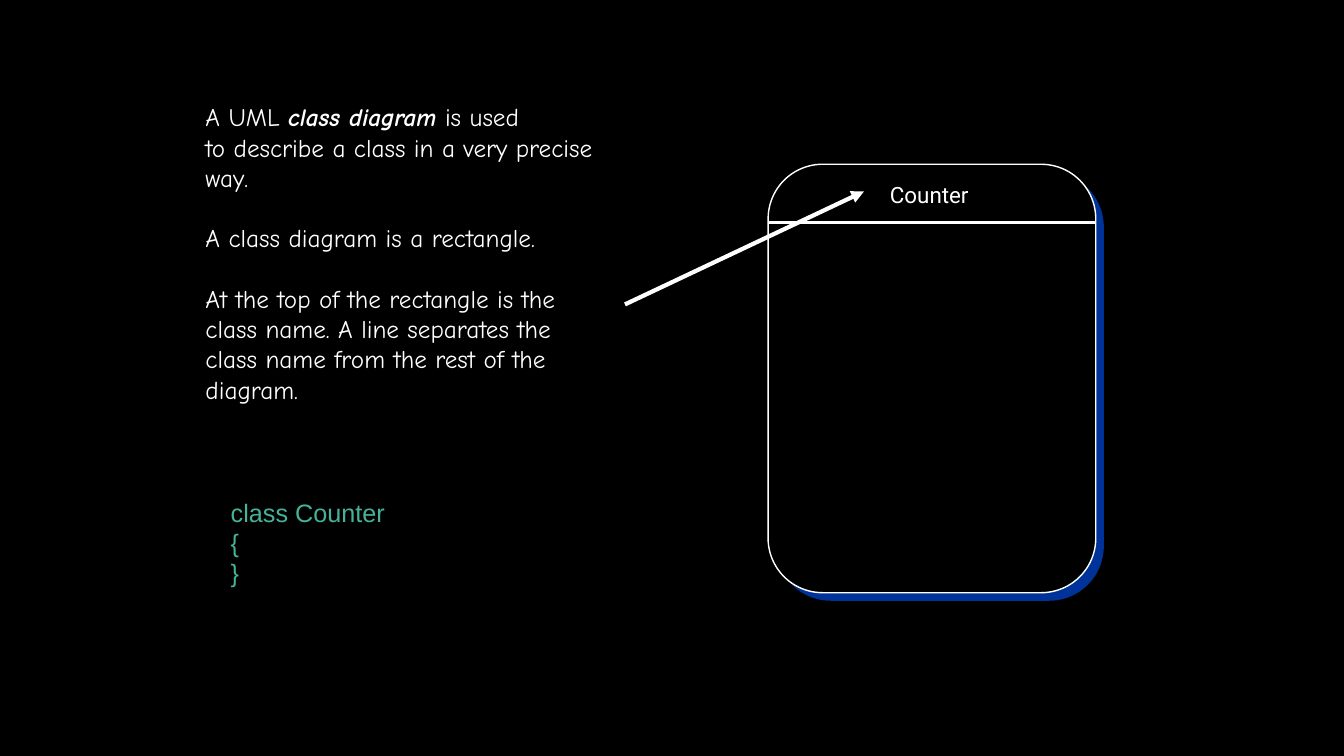
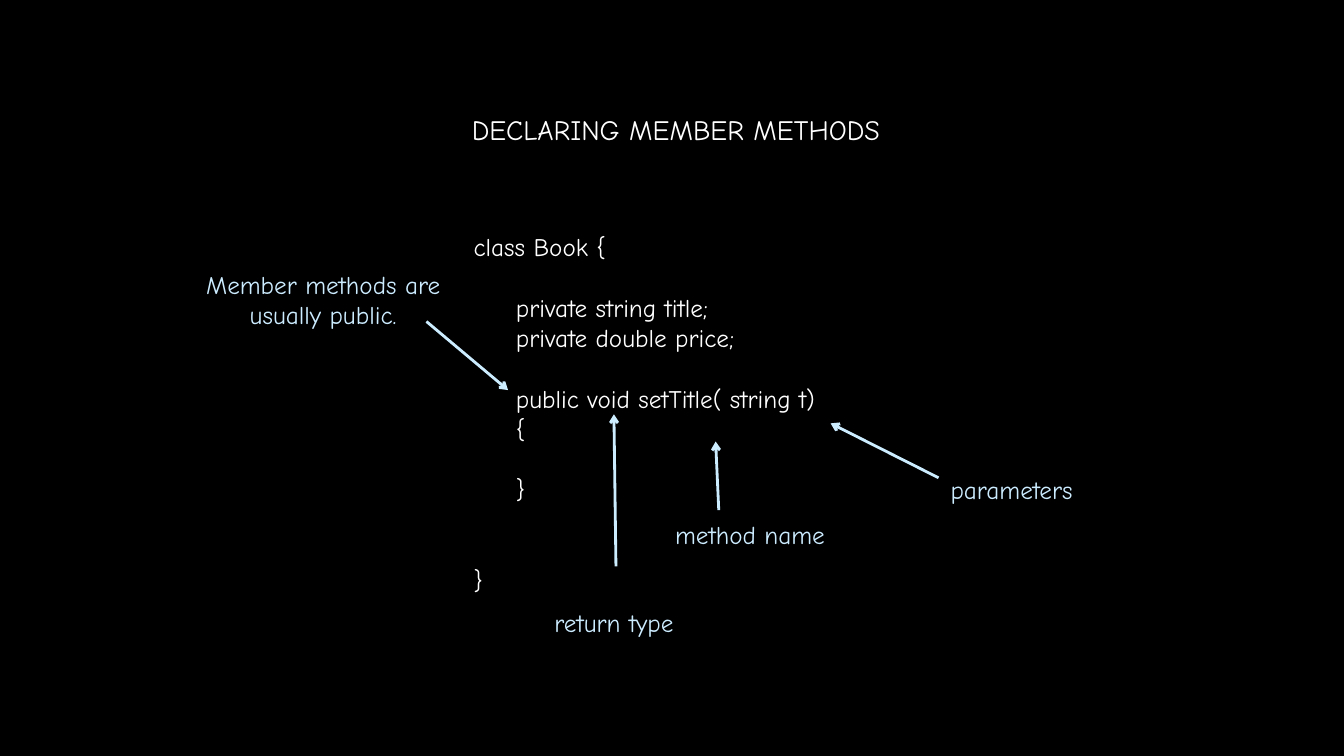
from dataclasses import dataclass

from lxml import etree
from pptx import Presentation
from pptx import util as u
from pptx.dml.color import RGBColor
from pptx.enum import shapes, text
from pptx.oxml import ns

# Shared style
BLACK = RGBColor(0x00, 0x00, 0x00)
WHITE = RGBColor(0xFF, 0xFF, 0xFF)
BLUE = RGBColor(0x00, 0x33, 0x99)
GREEN = RGBColor(0x46, 0xB2, 0x98)
PALE_BLUE = RGBColor(0xCC, 0xEC, 0xFF)
HAND_FONT = "Comic Neue"
BLANK_LINE = 21.6  # points, one line of 18-point text
INDENT = 0.42  # inches

presentation = Presentation()
presentation.slide_width = u.Inches(13.33)
presentation.slide_height = u.Inches(7.5)


@dataclass(frozen=True)
class Point:
    """A position in percent of the slide's width and height."""
    x: float
    y: float


@dataclass(frozen=True)
class Box:
    """An area in percent of the slide's width and height."""
    left: float
    top: float
    width: float
    height: float


@dataclass(frozen=True)
class Paragraph:
    """Text with *emphasis*, after a number of blank lines."""
    words: str
    gap: int = 0
    level: int = 0


@dataclass(frozen=True)
class TextStyle:
    color: RGBColor = WHITE
    size: int = 18
    font: str = HAND_FONT
    align: text.PP_ALIGN = text.PP_ALIGN.LEFT


@dataclass(frozen=True)
class Callout:
    words: str
    box: Box
    start: Point
    end: Point


TITLE = TextStyle(size=20, align=text.PP_ALIGN.CENTER)
LABEL = TextStyle(color=PALE_BLUE, align=text.PP_ALIGN.CENTER)
CLASS_NAME = TextStyle(size=16, font="Roboto")
GREEN_CODE = TextStyle(color=GREEN, font="Arial")


def across(percent: float) -> int:
    return round(presentation.slide_width * percent / 100)


def down(percent: float) -> int:
    return round(presentation.slide_height * percent / 100)


def place(box: Box) -> tuple[int, int, int, int]:
    return across(box.left), down(box.top), across(box.width), down(box.height)


def add_slide():
    slide = presentation.slides.add_slide(presentation.slide_layouts[6])
    fill = slide.background.fill
    fill.solid()
    fill.fore_color.rgb = BLACK
    return slide


def add_text(slide, box: Box, paragraphs: list[Paragraph],
             style: TextStyle = TextStyle()) -> None:
    frame = slide.shapes.add_textbox(*place(box)).text_frame
    frame.word_wrap = False
    frame.auto_size = text.MSO_AUTO_SIZE.SHAPE_TO_FIT_TEXT
    for number, content in enumerate(paragraphs):
        paragraph = frame.add_paragraph() if number else frame.paragraphs[0]
        paragraph.alignment = style.align
        paragraph.font.name = style.font
        paragraph.font.size = u.Pt(style.size)
        paragraph.font.color.rgb = style.color
        if content.gap:
            paragraph.space_before = u.Pt(content.gap * BLANK_LINE)
        if content.level:
            margin = u.Inches(content.level * INDENT)
            paragraph._p.get_or_add_pPr().set("marL", str(margin))
        for part_number, part in enumerate(content.words.split("*")):
            for line_number, line in enumerate(part.split("\n")):
                if line_number:
                    paragraph.add_line_break()
                run = paragraph.add_run()
                run.text = line
                if part_number % 2:
                    run.font.bold = run.font.italic = True


def add_line(slide, start: Point, end: Point, color: RGBColor, width: float,
             head: str = "") -> None:
    line = slide.shapes.add_connector(
        shapes.MSO_CONNECTOR.STRAIGHT,
        across(start.x), down(start.y), across(end.x), down(end.y))
    line.line.color.rgb = color
    line.line.width = u.Pt(width)
    if head:
        etree.SubElement(line.line._get_or_add_ln(), ns.qn("a:tailEnd"), type=head)
    etree.SubElement(line._element.spPr, ns.qn("a:effectLst"))


def add_card(slide, box: Box, fill: RGBColor, outline: RGBColor | None = None) -> None:
    card = slide.shapes.add_shape(shapes.MSO_SHAPE.ROUNDED_RECTANGLE, *place(box))
    card.shadow.inherit = False
    card.fill.solid()
    card.fill.fore_color.rgb = fill
    if outline is None:
        card.line.fill.background()
    else:
        card.line.color.rgb = outline
        card.line.width = u.Pt(1)


# Slide 1: class diagram
slide = add_slide()
card = Box(57.15, 21.73, 24.38, 56.67)
back_card = Box(card.left + 0.6, card.top + 1.07, card.width, card.height)
add_card(slide, back_card, BLUE)
add_card(slide, card, BLACK, WHITE)
add_text(slide, Box(65.48, 23.33, 7.35, 4.93), [Paragraph("Counter")], CLASS_NAME)
divider_y = 29.47
add_line(slide, Point(card.left, divider_y),
         Point(card.left + card.width, divider_y), WHITE, 2)
add_text(slide, Box(14.55, 12.8, 33, 41.73), [
    Paragraph("A UML *class diagram* is used\n"
              "to describe a class in a very precise\nway."),
    Paragraph("A class diagram is a rectangle.", gap=1),
    Paragraph("At the top of the rectangle is the\n"
              "class name. A line separates the\n"
              "class name from the rest of the\ndiagram.", gap=1),
])
add_line(slide, Point(46.5, 40.27), Point(64.28, 25.33), WHITE, 3, "triangle")
add_text(slide, Box(16.43, 65.07, 26.93, 13.47),
         [Paragraph("class Counter"), Paragraph("{"), Paragraph("}")], GREEN_CODE)

# Slide 2: member methods
slide = add_slide()
add_text(slide, Box(32.78, 14.27, 35.03, 5.87),
         [Paragraph("DECLARING MEMBER METHODS")], TITLE)
add_text(slide, Box(34.5, 30, 29.93, 49.87), [
    Paragraph("class Book {"),
    Paragraph("private string title;", gap=1, level=1),
    Paragraph("private double price;", level=1),
    Paragraph("public void setTitle( string t)", gap=1, level=1),
    Paragraph("{", level=1),
    Paragraph("}", gap=1, level=1),
    Paragraph("}", gap=2),
])

# Labels with their arrows
callouts = [
    Callout("Member methods are\nusually public.", Box(13.58, 34.93, 20.93, 9.47),
            Point(31.73, 42.53), Point(37.8, 51.6)),
    Callout("return type", Box(39.68, 79.73, 12, 5.33),
            Point(45.83, 74.93), Point(45.68, 54.8)),
    Callout("method name", Box(49.13, 68, 13.35, 5.33),
            Point(53.48, 67.47), Point(53.25, 58.4)),
    Callout("parameters", Box(69.45, 62.13, 11.63, 5.33),
            Point(69.83, 63.2), Point(61.8, 56)),
]
for callout in callouts:
    add_text(slide, callout.box, [Paragraph(callout.words)], LABEL)
    add_line(slide, callout.start, callout.end, PALE_BLUE, 2, "arrow")

presentation.save("out.pptx")
